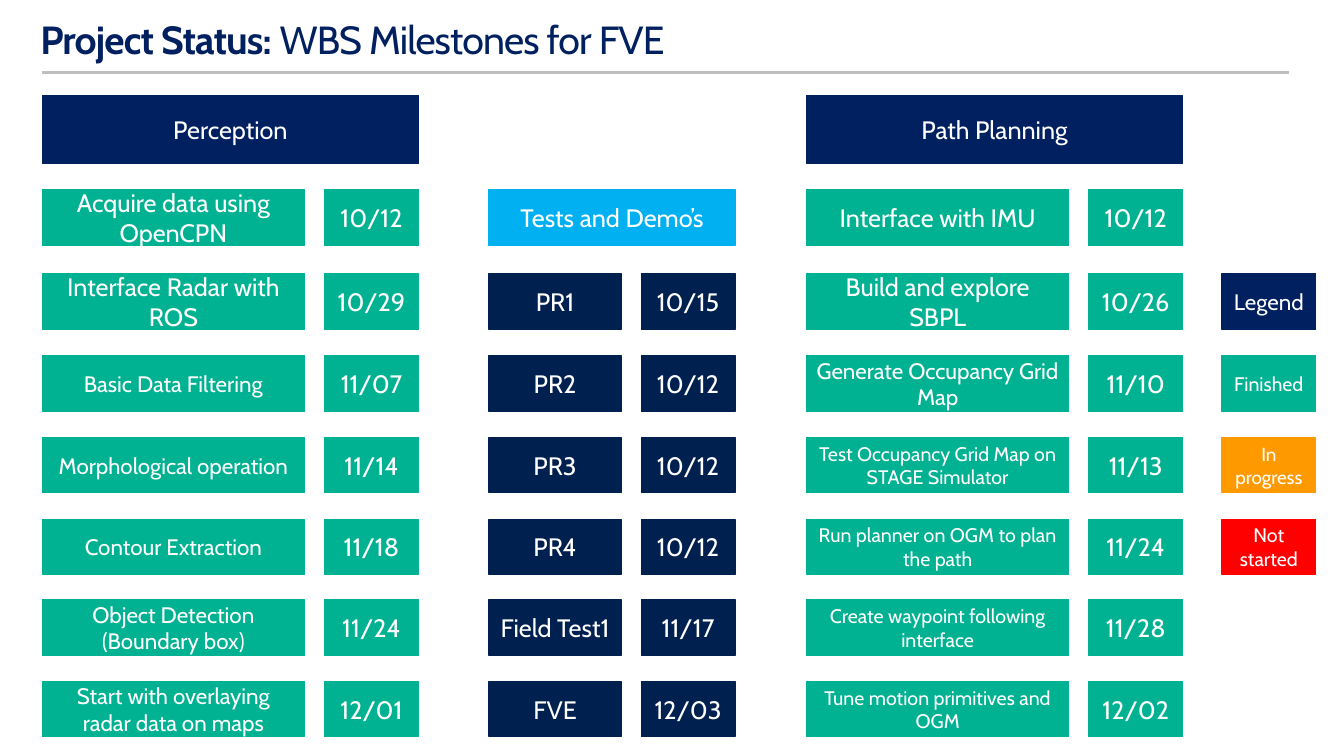
from lxml import etree
from pptx import Presentation
from pptx.dml.color import RGBColor
from pptx.enum.shapes import MSO_CONNECTOR, MSO_SHAPE
from pptx.enum.text import MSO_ANCHOR, MSO_AUTO_SIZE, PP_ALIGN
from pptx.oxml.ns import qn
from pptx.util import Inches, Pt

NAVY = RGBColor(0x00, 0x20, 0x60)
DARK_NAVY = RGBColor(0x00, 0x20, 0x50)
GREEN = RGBColor(0x00, 0xB1, 0x92)
SKY = RGBColor(0x00, 0xB0, 0xF0)
ORANGE = RGBColor(0xFF, 0x99, 0x00)
RED = RGBColor(0xFF, 0x00, 0x00)
GREY = RGBColor(0xBF, 0xBF, 0xBF)
WHITE = RGBColor(0xFF, 0xFF, 0xFF)
FONT = "Cabin"

TITLE = [("Project Status: ", True), ("WBS Milestones for FVE", False)]

# (task, date, task text size)
PERCEPTION = [
    ("Acquire data using OpenCPN", "10/12", 18),
    ("Interface Radar with ROS", "10/29", 18),
    ("Basic Data Filtering", "11/07", 16),
    ("Morphological operation", "11/14", 16),
    ("Contour Extraction", "11/18", 16),
    ("Object Detection (Boundary box)", "11/24", 16),
    ("Start with overlaying radar data on maps", "12/01", 16),
]
PATH_PLANNING = [
    ("Interface with IMU", "10/12", 18),
    ("Build and explore SBPL", "10/26", 18),
    ("Generate Occupancy Grid Map", "11/10", 16),
    ("Test Occupancy Grid Map on STAGE Simulator", "11/13", 14),
    ("Run planner on OGM to plan the path", "11/24", 14),
    ("Create waypoint following interface", "11/28", 14),
    ("Tune motion primitives and OGM", "12/02", 14),
]
TESTS = [
    ("PR1", "10/15", 18),
    ("PR2", "10/12", 18),
    ("PR3", "10/12", 18),
    ("PR4", "10/12", 18),
    ("Field Test1", "11/17", 18),
    ("FVE", "12/03", 18),
]
LEGEND = [
    ("Legend", NAVY, 16),
    ("Finished", GREEN, 14),
    ("In progress", ORANGE, 13.5),
    ("Not started", RED, 14),
]

ROW_TOPS = [1.88, 2.71, 3.53, 4.34, 5.15, 5.95, 6.76]
ROW_HEIGHTS = [0.56, 0.56] + [0.55] * 5
GAP = 0.2
DATE_WIDTH = 0.93
TASK_WIDTH = 2.6
TEST_WIDTH = 1.31
HEADER_WIDTH = TASK_WIDTH + GAP + DATE_WIDTH
PERCEPTION_LEFT, TESTS_LEFT, PLANNING_LEFT, LEGEND_LEFT = 0.42, 4.85, 8, 12.12


def add_box(slide, text, left, top, width, height, color, size=18):
    box = slide.shapes.add_shape(
        MSO_SHAPE.RECTANGLE, Inches(left), Inches(top), Inches(width), Inches(height))
    box.shadow.inherit = False
    box.fill.solid()
    box.fill.fore_color.rgb = color
    box.line.color.rgb = color
    box.line.width = Pt(0.85)
    frame = box.text_frame
    frame.word_wrap = True
    frame.vertical_anchor = MSO_ANCHOR.MIDDLE
    label = frame.paragraphs[0]
    label.alignment = PP_ALIGN.CENTER
    run = label.add_run()
    run.text = text
    run.font.name = FONT
    run.font.size = Pt(size)
    run.font.color.rgb = WHITE


def add_milestones(slide, milestones, left, task_width, color, first_row=0):
    """Stack one task box and one date box per milestone."""
    rows = zip(ROW_TOPS[first_row:], ROW_HEIGHTS[first_row:])
    for (task, date, size), (top, height) in zip(milestones, rows):
        add_box(slide, task, left, top, task_width, height, color, size)
        add_box(slide, date, left + task_width + GAP, top, DATE_WIDTH, height, color)


def add_title(slide):
    title = slide.shapes.title
    title.left, title.top = Inches(0.05), Inches(0)
    title.width, title.height = Inches(11.27), Inches(0.71)
    frame = title.text_frame
    frame_format = {
        "margin_left": Inches(0.35), "margin_top": Inches(0.17),
        "margin_right": Inches(0.06), "margin_bottom": Inches(0.06),
        "word_wrap": True, "auto_size": MSO_AUTO_SIZE.NONE,
        "vertical_anchor": MSO_ANCHOR.MIDDLE,
    }
    for name, value in frame_format.items():
        setattr(frame, name, value)
    heading = frame.paragraphs[0]
    heading.alignment = PP_ALIGN.LEFT
    heading.line_spacing = 0.9
    for text, bold in TITLE:
        run = heading.add_run()
        run.text = text
        run.font.name = FONT
        run.font.size = Pt(28)
        run.font.bold = bold
        run.font.color.rgb = NAVY
        run.font._element.set("spc", "-60")


def add_title_rule(slide):
    rule = slide.shapes.add_connector(
        MSO_CONNECTOR.STRAIGHT, Inches(0.42), Inches(0.72), Inches(12.78), Inches(0.72))
    rule.line.color.rgb = GREY
    rule.line.width = Pt(1.75)
    etree.SubElement(rule._element.spPr, qn("a:effectLst"))


def main():
    deck = Presentation()
    deck.slide_width, deck.slide_height = Inches(13.33), Inches(7.5)
    slide = deck.slides.add_slide(deck.slide_layouts[5])
    add_title(slide)
    add_title_rule(slide)

    for name, left, milestones in [("Perception", PERCEPTION_LEFT, PERCEPTION),
                                   ("Path Planning", PLANNING_LEFT, PATH_PLANNING)]:
        add_box(slide, name, left, 0.95, HEADER_WIDTH, 0.67, NAVY)
        add_milestones(slide, milestones, left, TASK_WIDTH, GREEN)

    add_box(slide, "Tests and Demo’s", TESTS_LEFT, ROW_TOPS[0],
            TEST_WIDTH + GAP + DATE_WIDTH, ROW_HEIGHTS[0], SKY)
    add_milestones(slide, TESTS, TESTS_LEFT, TEST_WIDTH, DARK_NAVY, first_row=1)

    for (status, color, size), top, height in zip(LEGEND, ROW_TOPS[1:], ROW_HEIGHTS[1:]):
        add_box(slide, status, LEGEND_LEFT, top, DATE_WIDTH, height, color, size)

    deck.save("out.pptx")


if __name__ == "__main__":
    main()
